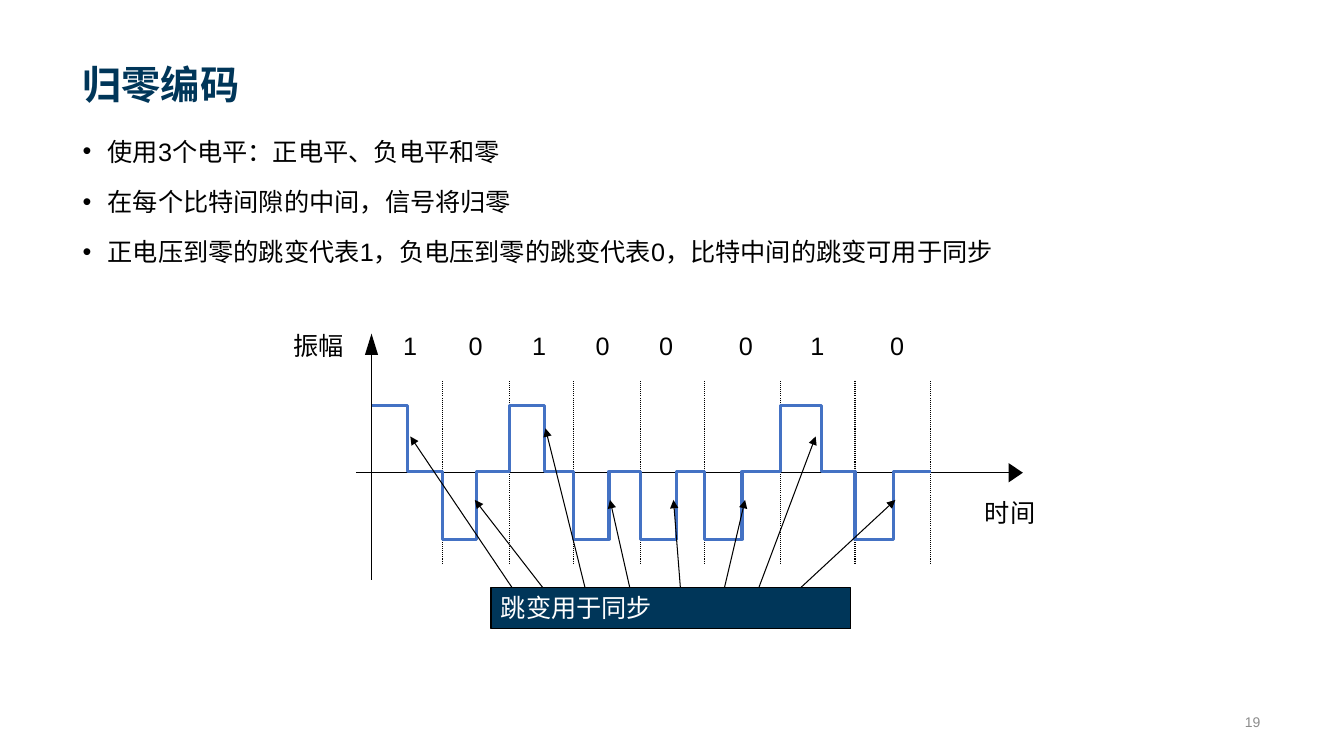
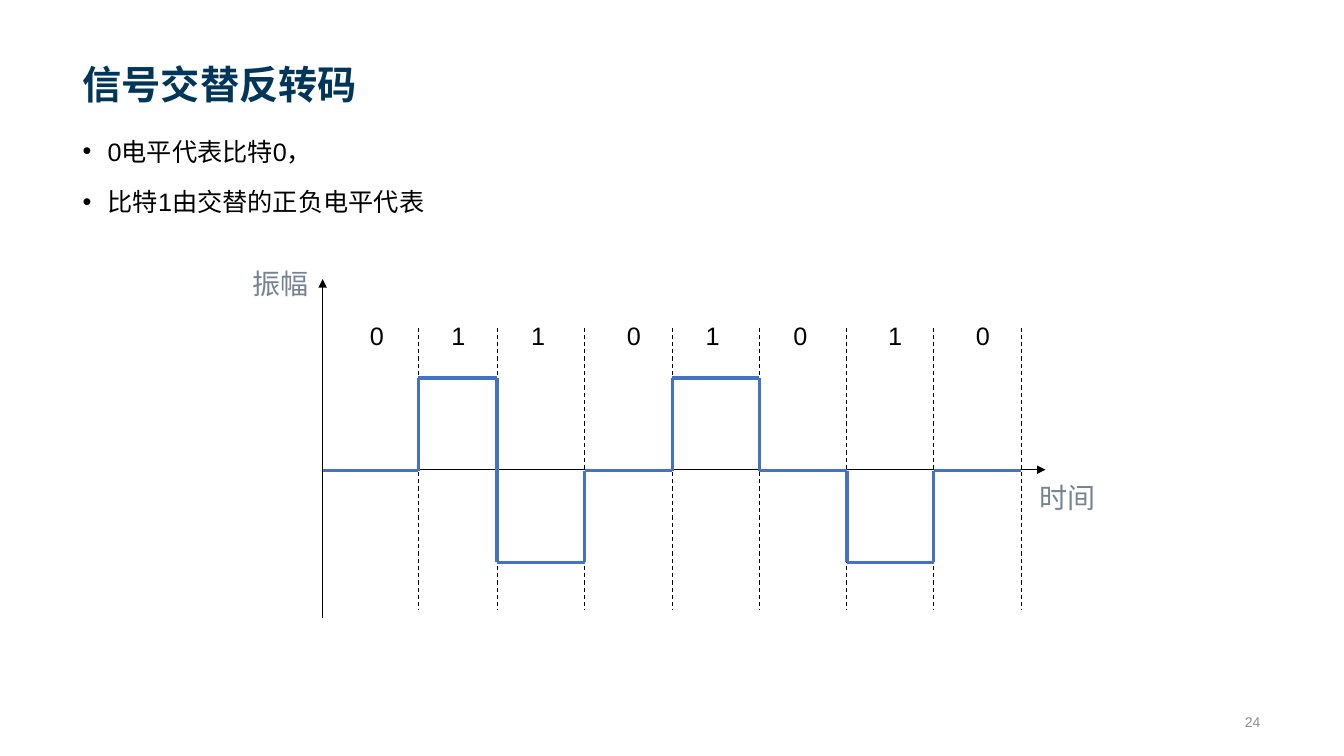
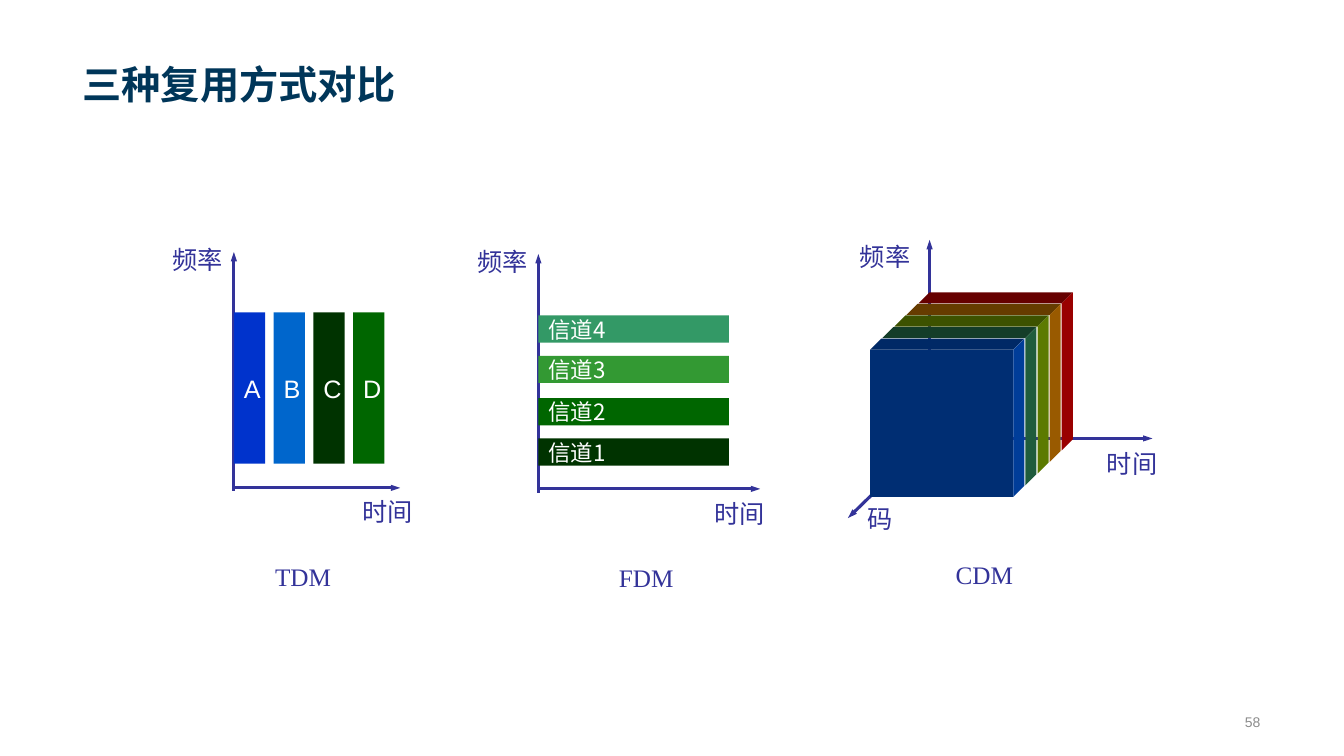
from itertools import pairwise

from lxml import etree
from pptx import Presentation
from pptx.dml.color import RGBColor
from pptx.enum import dml, shapes, text
from pptx.oxml.ns import qn
from pptx.util import Inches, Pt

NAVY, WAVE, AXIS = "003659", "4472C4", "333399"
BLACK, WHITE, GREY, SLATE = "000000", "FFFFFF", "8C8C8C", "768394"
CJK = "Noto Sans CJK SC"
rgb = RGBColor.from_string


def write(sp, paragraphs, size=18, color=BLACK, font="Arial", bold=False,
          wrap=False, anchor="TOP", align="LEFT", spacing=None):
    """Fill a shape with one run per paragraph."""
    tf = sp.text_frame
    tf.word_wrap = wrap
    tf.vertical_anchor = text.MSO_ANCHOR[anchor]
    for i, content in enumerate(paragraphs):
        p = tf.add_paragraph() if i else tf.paragraphs[0]
        p.alignment = text.PP_ALIGN[align]
        p.line_spacing = spacing
        r = p.add_run()
        r.text = content
        r.font.size, r.font.bold, r.font.name = Pt(size), bold, font
        r.font.color.rgb = rgb(color)
        etree.SubElement(r.font._element, qn("a:ea"), typeface=CJK)
    return tf


def line(s, x1, y1, x2, y2, color=BLACK, width=0.75, dash=None, arrow=None):
    """Draw a connector; arrow is the width of the head at its end."""
    cx = s.shapes.add_connector(shapes.MSO_CONNECTOR.STRAIGHT,
                                *map(Inches, (x1, y1, x2, y2)))
    cx.line.color.rgb, cx.line.width = rgb(color), Pt(width)
    if dash:
        cx.line.dash_style = dml.MSO_LINE[dash]
    if arrow:
        etree.SubElement(cx.line._get_or_add_ln(), qn("a:tailEnd"),
                         type="triangle", w=arrow, len="med")
    etree.SubElement(cx._element.spPr, qn("a:effectLst"))


prs = Presentation()
prs.slide_width, prs.slide_height = Inches(13.33), Inches(7.5)

# Titles, bullets and page numbers
pages = [
    ("归零编码", "19", ["使用3个电平：正电平、负电平和零",
                    "在每个比特间隙的中间，信号将归零",
                    "正电压到零的跳变代表1，负电压到零的跳变代表0，比特中间的跳变可用于同步"]),
    ("信号交替反转码", "24", ["0电平代表比特0，", "比特1由交替的正负电平代表"]),
    ("三种复用方式对比", "58", []),
]
for title, number, bullets in pages:
    s = prs.slides.add_slide(prs.slide_layouts[5])
    sp = s.shapes.title
    sp.left, sp.top, sp.width, sp.height = map(Inches, (0.72, 0.14, 11.88, 0.98))
    write(sp, [title], 28, NAVY, bold=True, wrap=True, anchor="BOTTOM")
    sp = s.shapes.add_textbox(*map(Inches, (8.5, 7.01, 4.1, 0.3)))
    write(sp, [number], 10, GREY, wrap=True, anchor="MIDDLE", align="RIGHT")
    if bullets:
        sp = s.shapes.add_textbox(*map(Inches, (0.72, 1.24, 11.88, 5.47)))
        tf = write(sp, bullets, wrap=True, spacing=1.2)
        for i, p in enumerate(tf.paragraphs):
            p.space_before = Pt(10 if i else 0)
            pPr = p._p.get_or_add_pPr()
            pPr.set("marL", str(Inches(0.25)))
            pPr.set("indent", str(-Inches(0.25)))
            etree.SubElement(pPr, qn("a:buFont"), typeface="Arial")
            etree.SubElement(pPr, qn("a:buChar"), char="•")
rz, ami, mux = prs.slides

# Return-to-zero code
line(rz, 3.68, 5.75, 3.68, 3.47)
line(rz, 3.53, 4.69, 10.02, 4.69)
for x, y, w, h, turn in [(3.62, 3.31, 0.13, 0.21, 0), (9.98, 4.62, 0.19, 0.14, 90)]:
    sp = rz.shapes.add_shape(shapes.MSO_SHAPE.ISOSCELES_TRIANGLE,
                             *map(Inches, (x, y, w, h)))
    sp.rotation = turn
    sp.shadow.inherit = False
    sp.fill.solid()
    sp.fill.fore_color.rgb = rgb(BLACK)
    sp.line.fill.background()

bits = "10100010"
edges = [3.69, 4.39, 5.05, 5.69, 6.35, 6.99, 7.74, 8.48, 9.23]
middles = [4.04, 4.73, 5.4, 6.04, 6.71, 7.36, 8.15, 8.86]
digit_lefts = [3.9, 4.55, 5.18, 5.81, 6.44, 7.23, 7.94, 8.73]
for x in edges[1:]:
    line(rz, x, 3.78, x, 5.59, dash="ROUND_DOT")
points = []
for bit, (left, right), mid in zip(bits, pairwise(edges), middles):
    level = 4.02 if bit == "1" else 5.35
    points += [(left, level), (mid, level), (mid, 4.68), (right, 4.68)]
points = [(Inches(x), Inches(y)) for x, y in points]
fb = rz.shapes.build_freeform(*points[0])
fb.add_line_segments(points[1:], close=False)
sp = fb.convert_to_shape()
sp.shadow.inherit = False
sp.fill.background()
sp.line.color.rgb, sp.line.width = rgb(WAVE), Pt(2.25)

labels = [(x, 3.23, 0.34, bit) for x, bit in zip(digit_lefts, bits)]
labels += [(2.81, 3.23, 0.7, "振幅"), (9.67, 4.88, 0.7, "时间")]
for x, y, w, label in labels:
    write(rz.shapes.add_textbox(*map(Inches, (x, y, w, 0.4))), [label])

sync_arrows = [(5.18, 4.07, 4.33), (5.5, 4.71, 4.96), (5.84, 5.41, 4.25),
               (6.28, 6.05, 4.96), (6.76, 6.68, 4.96), (7.15, 7.39, 4.96),
               (7.47, 8.09, 4.33), (7.78, 8.88, 4.96)]
for start, x, y in sync_arrows:
    line(rz, start, 5.98, x, y, arrow="med")
sp = rz.shapes.add_shape(shapes.MSO_SHAPE.RECTANGLE,
                         *map(Inches, (4.87, 5.83, 3.57, 0.41)))
sp.shadow.inherit = False
sp.fill.solid()
sp.fill.fore_color.rgb = rgb(NAVY)
sp.line.color.rgb, sp.line.width = rgb(BLACK), Pt(0.75)
write(sp, ["跳变用于同步"], color=WHITE, wrap=True)

# Alternate mark inversion
line(ami, 3.2, 6.13, 3.2, 2.77, width=1, arrow="med")
line(ami, 3.2, 4.66, 10.37, 4.66, width=1, arrow="med")
bits = "01101010"
edges = [3.2, 4.15, 4.93, 5.8, 6.67, 7.53, 8.4, 9.26, 10.13]
digit_lefts = [3.57, 4.38, 5.17, 6.12, 6.9, 7.77, 8.71, 9.58]
for x in edges[1:]:
    line(ami, x, 3.25, x, 6.05, dash="DASH")
points, pulse = [], 3.75
for bit, (left, right) in zip(bits, pairwise(edges)):
    level = pulse if bit == "1" else 4.67
    points += [(left, level), (right, level)]
    if bit == "1":
        pulse = 5.58 if pulse == 3.75 else 3.75
for start, end in pairwise(points):
    if start != end:
        line(ami, *start, *end, color=WAVE, width=2.25)
for x, bit in zip(digit_lefts, bits):
    write(ami.shapes.add_textbox(*map(Inches, (x, 3.13, 0.34, 0.4))), [bit])
for x, y, label in [(2.41, 2.59, "振幅"), (10.21, 4.72, "时间")]:
    write(ami.shapes.add_textbox(*map(Inches, (x, y, 0.76, 0.43))), [label], 20, SLATE)

# Multiplexing: axes, then slots and channels, then code layers
axes = [(2.32, 4.84, 3.97, 4.84), (2.32, 4.87, 2.32, 2.5),
        (5.34, 4.85, 7.54, 4.85), (5.34, 4.89, 5.34, 2.52),
        (9.22, 4.35, 11.43, 4.35), (9.22, 4.39, 9.22, 2.38),
        (9.22, 4.35, 8.41, 5.14)]
for ends in axes:
    line(mux, *ends, color=AXIS, width=2.25, arrow="sm")

slot_colors = ["0033CC", "0066CC", "003300", "006600"]
blocks = [(2.32 + 0.394 * i, 3.1, 0.31, 1.5, color, "ABCD"[i], 18, "Arial")
          for i, color in enumerate(slot_colors)]
channels = [(3.13, "339966"), (3.53, "339933"), (3.95, "006600"), (4.35, "003300")]
blocks += [(5.34, y, 1.89, 0.27, color, f"信道{4 - i}", 16, CJK)
           for i, (y, color) in enumerate(channels)]
blocks.append((8.63, 3.47, 1.42, 1.46, "002E73", "", 18, "Arial"))
for x, y, w, h, color, label, size, font in blocks:
    sp = mux.shapes.add_shape(shapes.MSO_SHAPE.RECTANGLE, *map(Inches, (x, y, w, h)))
    sp.shadow.inherit = False
    sp.fill.solid()
    sp.fill.fore_color.rgb = rgb(color)
    sp.line.fill.background()
    if label:
        write(sp, [label], size, WHITE, font, anchor="MIDDLE")

layers = [("660000", "990000"), ("663C00", "995A00"), ("3D5200", "5C7A00"),
          ("143D29", "1F5C3D"), ("002966", "003D99")]
w, h, depth = 1.42, 1.46, 0.11
for i, (top_color, side_color) in enumerate(layers):
    x, y = 9.11 - 0.12 * i, 3.01 + 0.115 * i
    right, back = x + w, y - depth
    top = [(x, y), (x + depth, back), (right + depth, back), (right, y)]
    side = [(right, y), (right + depth, back), (right + depth, back + h), (right, y + h)]
    for face, color in [(top, top_color), (side, side_color)]:
        points = [(Inches(px), Inches(py)) for px, py in face]
        fb = mux.shapes.build_freeform(*points[0])
        fb.add_line_segments(points[1:])
        sp = fb.convert_to_shape()
        sp.shadow.inherit = False
        sp.fill.solid()
        sp.fill.fore_color.rgb = rgb(color)
        sp.line.fill.background()

labels = [(1.61, 2.41, 0.7, "频率"), (3.5, 4.91, 0.7, "时间"), (2.63, 5.55, 0.76, "TDM"),
          (4.64, 2.43, 0.7, "频率"), (6.99, 4.93, 0.7, "时间"), (6.04, 5.56, 0.74, "FDM"),
          (8.43, 2.38, 0.7, "频率"), (10.88, 4.43, 0.7, "时间"), (9.38, 5.53, 0.77, "CDM"),
          (8.51, 4.98, 0.45, "码")]
for x, y, w, label in labels:
    write(mux.shapes.add_textbox(*map(Inches, (x, y, w, 0.37))), [label],
          color=AXIS, font="Times New Roman", spacing=0.9)

prs.save("out.pptx")
